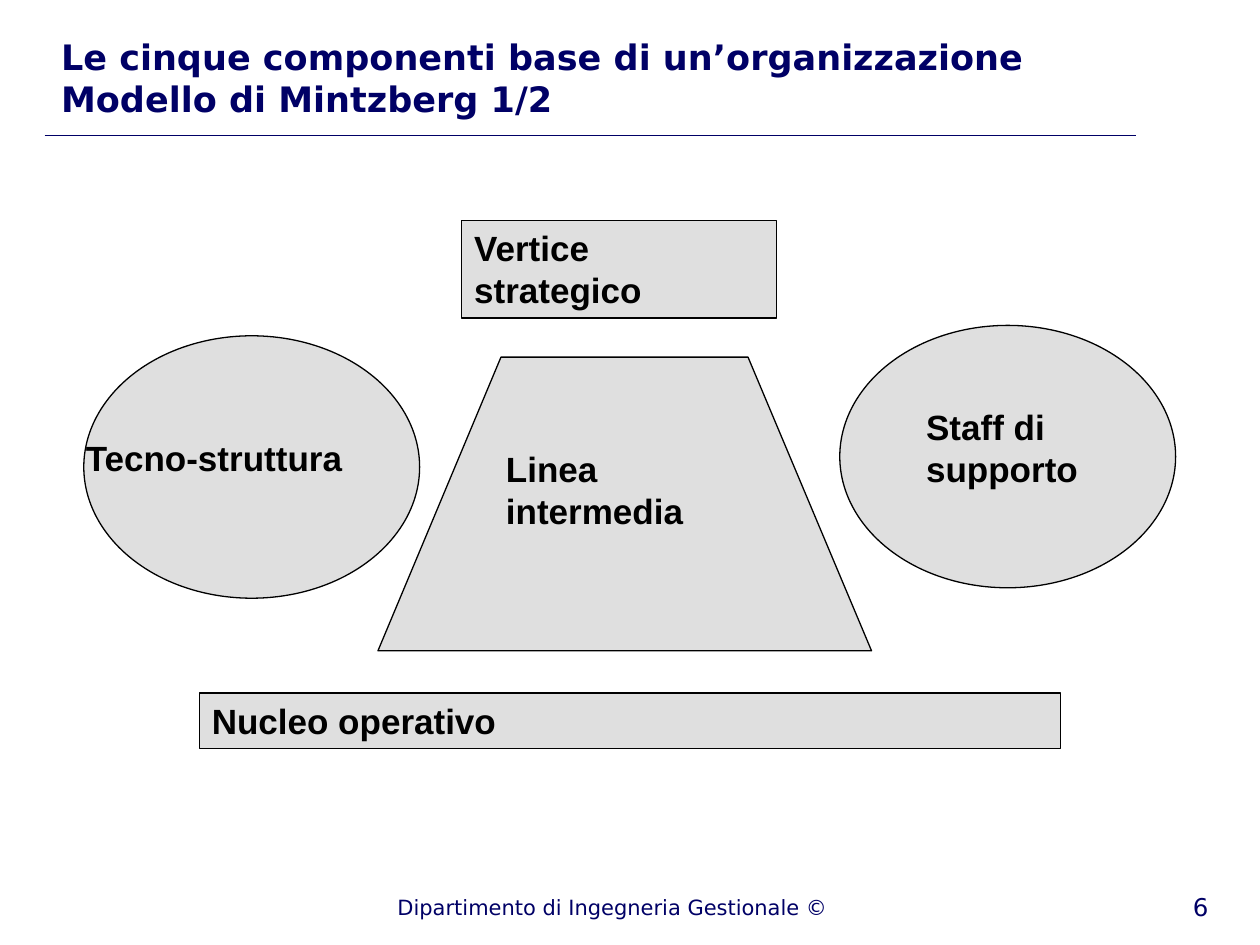
from lxml.etree import SubElement
from pptx import Presentation
from pptx.dml.color import RGBColor
from pptx.enum.shapes import MSO_CONNECTOR, MSO_SHAPE
from pptx.enum.text import MSO_ANCHOR, MSO_AUTO_SIZE, PP_ALIGN
from pptx.oxml.ns import qn
from pptx.util import Cm, Pt

NAVY = RGBColor(0x00, 0x00, 0x66)
BLACK = RGBColor(0x00, 0x00, 0x00)
SILVER = RGBColor(0xC0, 0xC0, 0xC0)
WHITE = RGBColor(0xFF, 0xFF, 0xFF)


class MintzbergSlide:
    heading_font = "DejaVu Sans"
    label_font = "Arial"
    line_width = Pt(0.75)

    def __init__(self, slide):
        self.slide = slide
        self.shapes = slide.shapes
        slide.background.fill.solid()
        slide.background.fill.fore_color.rgb = WHITE

    def add_run(self, paragraph, text, font, size, color, bold=False):
        run = paragraph.add_run()
        run.text = text
        run.font.name = font
        run.font.size = Pt(size)
        run.font.bold = bold
        run.font.color.rgb = color

    def title(self, lines, left, top, width, height):
        title = self.shapes.title
        title.left, title.top = Cm(left), Cm(top)
        title.width, title.height = Cm(width), Cm(height)
        frame = title.text_frame
        frame.word_wrap = True
        frame.auto_size = MSO_AUTO_SIZE.NONE
        frame.vertical_anchor = MSO_ANCHOR.BOTTOM
        frame.margin_left = frame.margin_right = Cm(0.25)
        frame.margin_top = frame.margin_bottom = Cm(0.03)
        paragraph = frame.paragraphs[0]
        paragraph.alignment = PP_ALIGN.LEFT
        for index, line in enumerate(lines):
            if index:
                paragraph.add_line_break()
            self.add_run(paragraph, line, self.heading_font, 20, NAVY, True)

    def rule(self, left, right, y):
        rule = self.shapes.add_connector(
            MSO_CONNECTOR.STRAIGHT, Cm(left), Cm(y), Cm(right), Cm(y))
        rule.line.color.rgb = NAVY
        rule.line.width = self.line_width
        SubElement(rule._element.spPr, qn("a:effectLst"))

    def paint(self, part):
        part.shadow.inherit = False
        part.fill.solid()
        part.fill.fore_color.rgb = SILVER
        color = part._element.spPr.find(qn("a:solidFill"))[0]
        SubElement(color, qn("a:alpha"), val="50000")
        part.line.color.rgb = BLACK
        part.line.width = self.line_width

    def preset(self, kind, left, top, width, height):
        part = self.shapes.add_shape(
            kind, Cm(left), Cm(top), Cm(width), Cm(height))
        self.paint(part)
        return part

    def polygon(self, points):
        corners = [(Cm(x), Cm(y)) for x, y in points]
        builder = self.shapes.build_freeform(*corners[0])
        builder.add_line_segments(corners[1:], close=True)
        self.paint(builder.convert_to_shape())

    def write_label(self, part, text):
        frame = part.text_frame
        frame.word_wrap = True
        frame.auto_size = MSO_AUTO_SIZE.SHAPE_TO_FIT_TEXT
        frame.vertical_anchor = MSO_ANCHOR.TOP
        paragraph = frame.paragraphs[0]
        paragraph.alignment = PP_ALIGN.LEFT
        self.add_run(paragraph, text, self.label_font, 20, BLACK, True)

    def box(self, text, left, top, width, height):
        self.write_label(
            self.preset(MSO_SHAPE.RECTANGLE, left, top, width, height), text)

    def label(self, text, left, top, width, height):
        self.write_label(self.shapes.add_textbox(
            Cm(left), Cm(top), Cm(width), Cm(height)), text)

    def footer(self, text, size, align, left, top, width, height):
        footer = self.shapes.add_textbox(
            Cm(left), Cm(top), Cm(width), Cm(height))
        footer.text_frame.word_wrap = True
        paragraph = footer.text_frame.paragraphs[0]
        paragraph.alignment = align
        self.add_run(paragraph, text, self.heading_font, size, NAVY)


def main():
    deck = Presentation()
    deck.slide_width, deck.slide_height = Cm(25.4), Cm(19.05)
    page = MintzbergSlide(deck.slides.add_slide(deck.slide_layouts[5]))

    # Heading
    page.rule(0.9, 22.9, 2.73)
    page.title(["Le cinque componenti base di un’organizzazione",
                "Modello di Mintzberg 1/2"], 0.98, 0.71, 21.34, 1.73)

    # Support staff, technostructure and middle line
    for left, top in ((16.93, 6.56), (1.69, 6.77)):
        page.preset(MSO_SHAPE.OVAL, left, top, 6.77, 5.29)
    page.polygon([(7.62, 13.12), (10.1, 7.2), (15.08, 7.2), (17.57, 13.12)])

    # Strategic apex
    page.box("Vertice strategico", 9.31, 4.45, 6.35, 1.96)

    # Labels over the three central parts
    page.label("Tecno-struttura", 1.48, 8.68, 7.2, 1.12)
    page.label("Linea intermedia", 9.95, 8.89, 5.08, 1.96)
    page.label("Staff di supporto", 18.42, 8.04, 4.02, 1.96)

    # Operating core
    page.box("Nucleo operativo", 4.02, 13.97, 17.36, 1.12)

    # Footer
    page.footer("6", 14, PP_ALIGN.LEFT, 23.8, 17.86, 1.5, 1.1)
    page.footer("Dipartimento di Ingegneria Gestionale ©", 12,
                PP_ALIGN.CENTER, 3.3, 17.9, 18.1, 1.1)

    deck.save("out.pptx")


if __name__ == "__main__":
    main()
